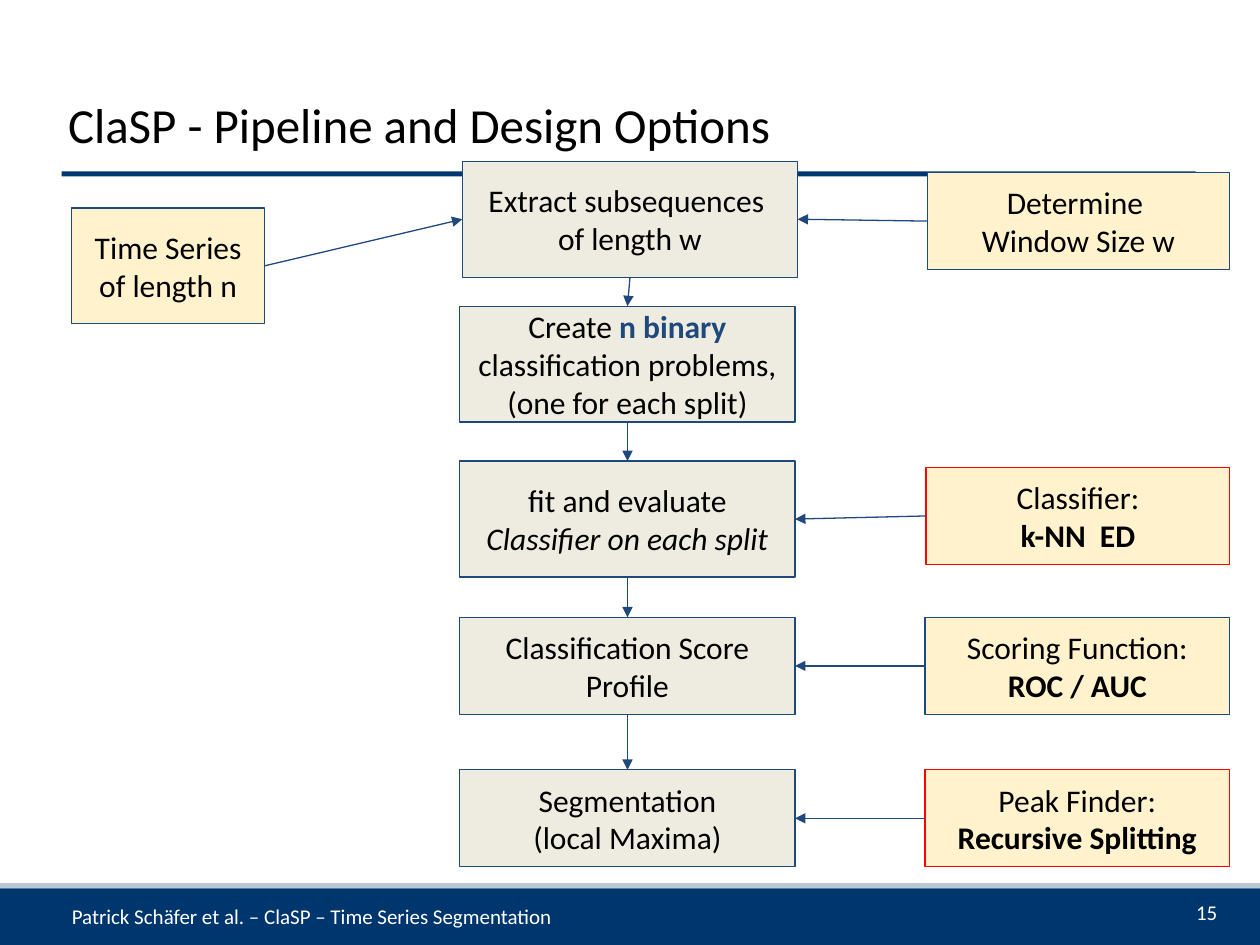
from lxml import etree
from pptx import Presentation
from pptx.dml.color import RGBColor
from pptx.enum.shapes import MSO_CONNECTOR, MSO_SHAPE
from pptx.enum.text import MSO_ANCHOR, PP_ALIGN
from pptx.oxml.ns import qn
from pptx.util import Inches, Pt

NAVY = RGBColor(0x00, 0x36, 0x6E)
BLUE = RGBColor(0x1F, 0x49, 0x7D)
GREY_BLUE = RGBColor(0xBA, 0xCA, 0xD3)
CREAM = RGBColor(0xFF, 0xF2, 0xCC)
BEIGE = RGBColor(0xEE, 0xEC, 0xE1)
RED = RGBColor(0xFF, 0x00, 0x00)
BLACK = RGBColor(0x00, 0x00, 0x00)
WHITE = RGBColor(0xFF, 0xFF, 0xFF)

RECT, STRAIGHT = MSO_SHAPE.RECTANGLE, MSO_CONNECTOR.STRAIGHT
LEFT, CENTER, RIGHT = PP_ALIGN.LEFT, PP_ALIGN.CENTER, PP_ALIGN.RIGHT
TOP, MIDDLE, BOTTOM = MSO_ANCHOR.TOP, MSO_ANCHOR.MIDDLE, MSO_ANCHOR.BOTTOM
SITE_TOP, SITE_LEFT, SITE_BOTTOM, SITE_RIGHT = range(4)

BOLD = {"bold": True}
STEP_X, STEP_W = 3.65, 2.66
OPTION_X, OPTION_RIGHT, OPTION_H = 7.34, 9.76, 0.77


class SlideBuilder:
    font = "Calibri"
    line_width = 0.75

    def __init__(self, slide):
        self.s = slide

    def fill_text(self, tf, paragraphs, size, color=BLACK, align=LEFT, anchor=TOP,
                  insets=(0.1, 0.1, 0.1, 0.1)):
        """Fill tf; a paragraph is a string or a list of (text, font format) runs."""
        tf.word_wrap = True
        tf.vertical_anchor = anchor
        for side, inset in zip(("left", "top", "right", "bottom"), insets):
            setattr(tf, f"margin_{side}", Inches(inset))
        for i, runs in enumerate(paragraphs):
            p = tf.add_paragraph() if i else tf.paragraphs[0]
            p.alignment = align
            for text, fmt in [(runs, {})] if isinstance(runs, str) else runs:
                for j, part in enumerate(text.split("\n")):
                    if j:
                        p.add_line_break()
                    r = p.add_run()
                    r.text = part
                    style = {"name": self.font, "size": Pt(size), **fmt}
                    r.font.color.rgb = style.pop("color", color)
                    for name, value in style.items():
                        setattr(r.font, name, value)

    def title(self, text, x, y, w, h):
        sp = self.s.shapes.title
        sp.left, sp.top, sp.width, sp.height = map(Inches, (x, y, w, h))
        self.fill_text(sp.text_frame, [text], 28, anchor=BOTTOM,
                       insets=(0.06, 0.06, 0.1, 0.06))

    def text(self, text, x, y, w, h, align, insets):
        sp = self.s.shapes.add_textbox(*map(Inches, (x, y, w, h)))
        self.fill_text(sp.text_frame, [text], 12, WHITE, align, insets=insets)

    def bar(self, x, y, w, h, fill):
        sp = self.s.shapes.add_shape(RECT, *map(Inches, (x, y, w, h)))
        sp.shadow.inherit = False
        sp.fill.solid()
        sp.fill.fore_color.rgb = fill
        sp.line.fill.background()
        return sp

    def box(self, paragraphs, x, y, w, h, fill, line=BLUE):
        sp = self.bar(x, y, w, h, fill)
        sp.line.color.rgb = line
        sp.line.width = Pt(self.line_width)
        self.fill_text(sp.text_frame, paragraphs, 18, align=CENTER, anchor=MIDDLE)
        return sp

    def step(self, paragraphs, y, h, x=STEP_X):
        return self.box(paragraphs, x, y, STEP_W, h, BEIGE)

    def option(self, paragraphs, y, line=BLUE, x=OPTION_X):
        return self.box(paragraphs, x, y, OPTION_RIGHT - x, OPTION_H, CREAM, line)

    def line(self, x1, y1, x2, y2, color, width):
        c = self.s.shapes.add_connector(STRAIGHT, *map(Inches, (x1, y1, x2, y2)))
        c.line.color.rgb = color
        c.line.width = Pt(width)
        etree.SubElement(c._element.spPr, qn("a:effectLst"))
        return c

    def arrow(self, start, start_site, end, end_site):
        c = self.line(0, 0, 1, 1, BLUE, self.line_width)
        c.begin_connect(start, start_site)
        c.end_connect(end, end_site)
        ln = c._element.spPr.find(qn("a:ln"))
        etree.SubElement(ln, qn("a:tailEnd"), type="triangle")


def main():
    prs = Presentation()
    prs.slide_width, prs.slide_height = Inches(10), Inches(7.5)
    b = SlideBuilder(prs.slides.add_slide(prs.slide_layouts[5]))

    b.bar(0, 7.05, 10, 0.46, NAVY)
    b.line(0, 7.03, 10, 7.03, GREY_BLUE, 3)
    b.text("Patrick Schäfer et al. – ClaSP – Time Series Segmentation",
           0.53, 7.17, 7.56, 0.32, LEFT, (0.04, 0, 0.04, 0))
    b.text("15", 9.16, 7.09, 0.6, 0.32, RIGHT, (0.1, 0.05, 0.1, 0.05))
    b.bar(0.49, 1.36, 9, 0.04, NAVY)
    b.title("ClaSP - Pipeline and Design Options", 0.48, 0, 9, 1.28)

    series = b.box(["Time Series of length n"], 0.57, 1.65, 1.53, 0.92, CREAM)

    extract = b.step(["Extract subsequences  of length w"], 1.28, 0.92, x=3.67)
    create = b.step([[("Create ", {}), ("n binary ", {"bold": True, "color": BLUE}),
                      ("classification problems, (one for each split)", {})]],
                    2.43, 0.92)
    fit = b.step([[("fit and evaluate ", {}),
                   ("Classifier on each split", {"italic": True})]], 3.66, 0.92)
    profile = b.step(["Classification Score Profile"], 4.9, 0.77)
    segmentation = b.step(["Segmentation\n(local Maxima)"], 6.11, 0.77)

    window = b.option(["Determine \nWindow Size w"], 1.37, x=7.36)
    classifier = b.option(["Classifier:", [("k-NN  ED", BOLD)]], 3.71, RED, x=7.35)
    scoring = b.option(["Scoring Function:", [("ROC / AUC", BOLD)]], 4.9)
    peaks = b.option(["Peak Finder:", [("Recursive Splitting", BOLD)]], 6.11, RED)

    b.arrow(series, SITE_RIGHT, extract, SITE_LEFT)
    steps = [extract, create, fit, profile, segmentation]
    for upper, lower in zip(steps, steps[1:]):
        b.arrow(upper, SITE_BOTTOM, lower, SITE_TOP)
    for option, step in ((window, extract), (classifier, fit),
                         (scoring, profile), (peaks, segmentation)):
        b.arrow(option, SITE_LEFT, step, SITE_RIGHT)

    prs.save("out.pptx")


if __name__ == "__main__":
    main()
